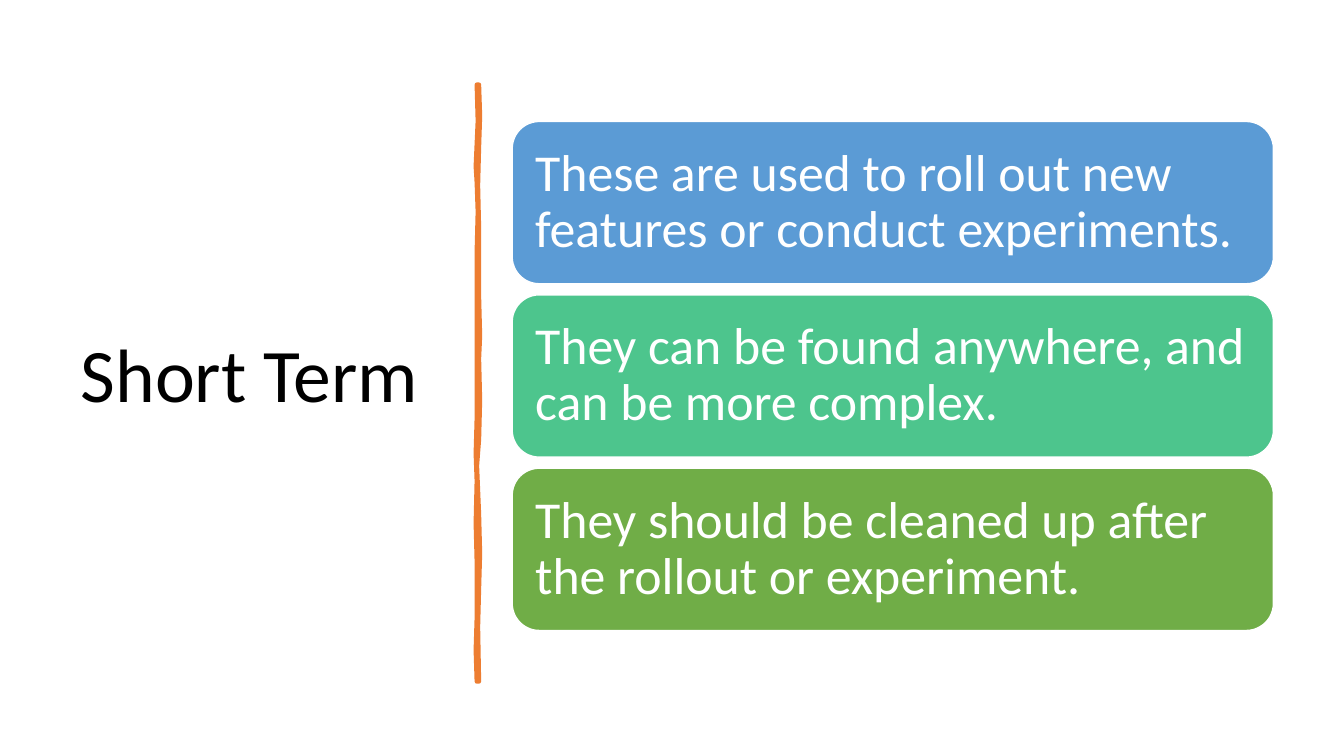
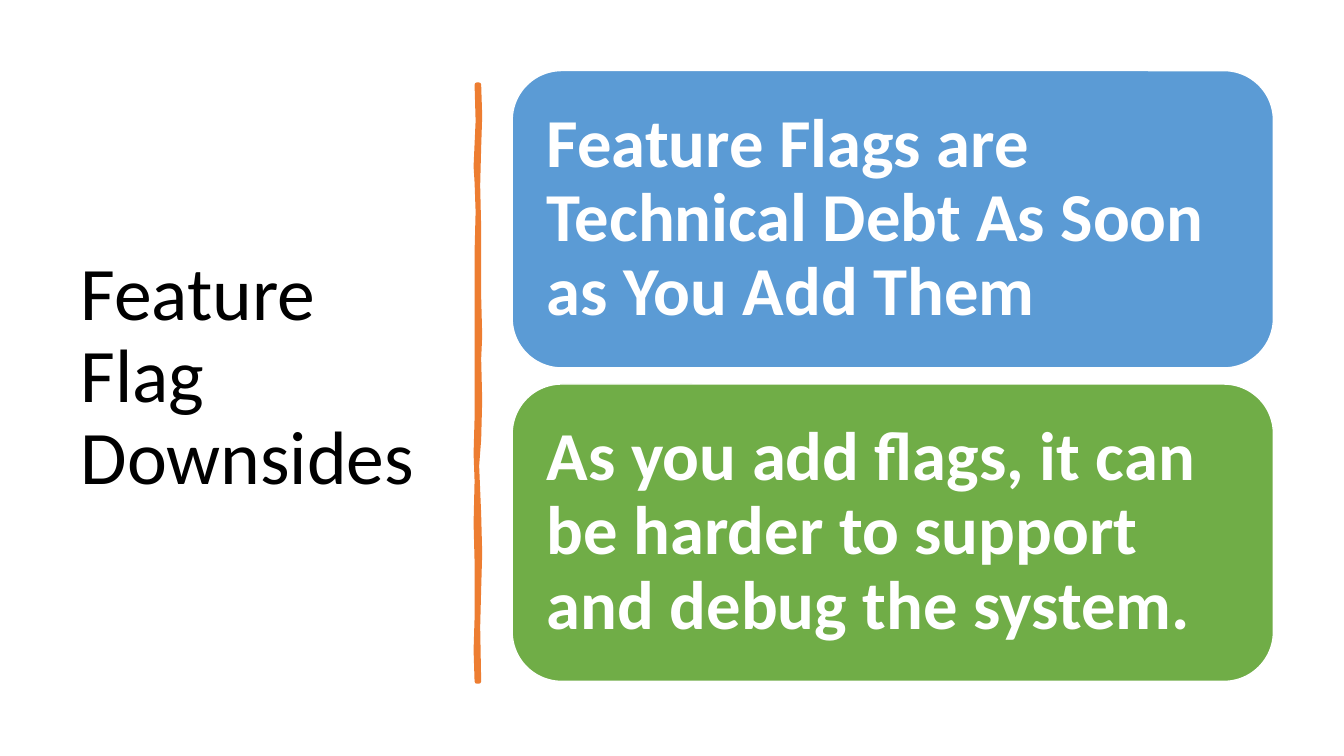
from lxml.etree import SubElement
from pptx import Presentation
from pptx.dml.color import RGBColor
from pptx.enum.shapes import MSO_SHAPE
from pptx.enum.text import MSO_ANCHOR, MSO_AUTO_SIZE, PP_ALIGN
from pptx.oxml.ns import qn
from pptx.util import Inches, Pt

ROUNDED = MSO_SHAPE.ROUNDED_RECTANGLE
MIDDLE = MSO_ANCHOR.MIDDLE
NO_AUTOFIT = MSO_AUTO_SIZE.NONE
LEFT = PP_ALIGN.LEFT

FONT = "Calibri"
BLACK, WHITE, ORANGE = "000000", "FFFFFF", "ED7D31"
BLUE, TEAL, GREEN = "5B9BD5", "4DC58D", "70AD47"

CARD_LEFT, CARD_WIDTH, CARDS_MIDDLE = 5.08, 7.55, 3.73

BRUSH_OUTLINE = [
    (4.75, 0.84), (4.76, 1.15), (4.75, 1.46), (4.74, 1.84), (4.75, 2.26),
    (4.75, 2.94), (4.76, 3.33), (4.75, 3.56), (4.76, 3.97), (4.75, 4.36),
    (4.73, 4.62), (4.75, 5.10), (4.76, 5.49), (4.75, 5.84), (4.74, 6.22),
    (4.75, 6.76), (4.73, 6.76), (4.72, 6.45), (4.73, 6.13), (4.73, 5.57),
    (4.72, 5.19), (4.73, 4.77), (4.72, 4.50), (4.73, 4.15), (4.73, 3.35),
    (4.73, 2.50), (4.74, 2.10), (4.73, 1.81), (4.72, 1.65), (4.74, 1.20),
    (4.73, 0.84),
]

TOPICS = [
    {
        "title": "Short Term",
        "height": 1.61, "gap": 0.11, "inset": 0.15, "size": 37, "bold": False,
        "cards": [
            ("These are used to roll out new features or conduct experiments.", BLUE),
            ("They can be found anywhere, and can be more complex.", TEAL),
            ("They should be cleaned up after the rollout or experiment.", GREEN),
        ],
    },
    {
        "title": "Feature Flag Downsides",
        "height": 2.95, "gap": 0.16, "inset": 0.2, "size": 49, "bold": True,
        "cards": [
            ("Feature Flags are Technical Debt As Soon as You Add Them", BLUE),
            ("As you add flags, it can be harder to support and debug the system.", GREEN),
        ],
    },
]


def colour(hex_code):
    return RGBColor.from_string(hex_code)


def write(shape, text, size, color, bold=False, inset=None):
    frame = shape.text_frame
    frame.word_wrap = True
    frame.auto_size = NO_AUTOFIT
    frame.vertical_anchor = MIDDLE
    if inset is not None:
        frame.margin_left = frame.margin_right = Inches(inset)
        frame.margin_top = frame.margin_bottom = Inches(inset)
    paragraph = frame.paragraphs[0]
    paragraph.alignment = LEFT
    paragraph.line_spacing = 0.9
    run = paragraph.add_run()
    run.text = text
    run.font.name = FONT
    run.font.size = Pt(size)
    run.font.bold = bold
    run.font.color.rgb = colour(color)


brush_points = [(Inches(x), Inches(y)) for x, y in BRUSH_OUTLINE]

deck = Presentation()
deck.slide_width = Inches(13.33)
deck.slide_height = Inches(7.5)
title_only = deck.slide_layouts[5]

for topic in TOPICS:
    slide = deck.slides.add_slide(title_only)

    heading = slide.shapes.title
    heading.left, heading.top = Inches(0.7), Inches(0.7)
    heading.width, heading.height = Inches(3.74), Inches(6.1)
    write(heading, topic["title"], size=54, color=BLACK)

    brush = slide.shapes.build_freeform(*brush_points[0])
    brush.add_line_segments(brush_points[1:], close=True)
    divider = brush.convert_to_shape()
    divider.shadow.inherit = False
    divider.fill.solid()
    divider.fill.fore_color.rgb = colour(ORANGE)
    divider.line.color.rgb = colour(ORANGE)
    divider.line.width = Pt(3.25)
    SubElement(divider.element.spPr.find(qn("a:ln")), qn("a:round"))

    height, gap = topic["height"], topic["gap"]
    count = len(topic["cards"])
    stack_top = CARDS_MIDDLE - (count * height + (count - 1) * gap) / 2
    for row, (statement, fill) in enumerate(topic["cards"]):
        card = slide.shapes.add_shape(
            ROUNDED, Inches(CARD_LEFT), Inches(stack_top + row * (height + gap)),
            Inches(CARD_WIDTH), Inches(height))
        card.shadow.inherit = False
        card.fill.solid()
        card.fill.fore_color.rgb = colour(fill)
        card.line.color.rgb = colour(WHITE)
        card.line.width = Pt(1)
        write(card, statement, size=topic["size"], color=WHITE,
              bold=topic["bold"], inset=topic["inset"])

deck.save("out.pptx")
